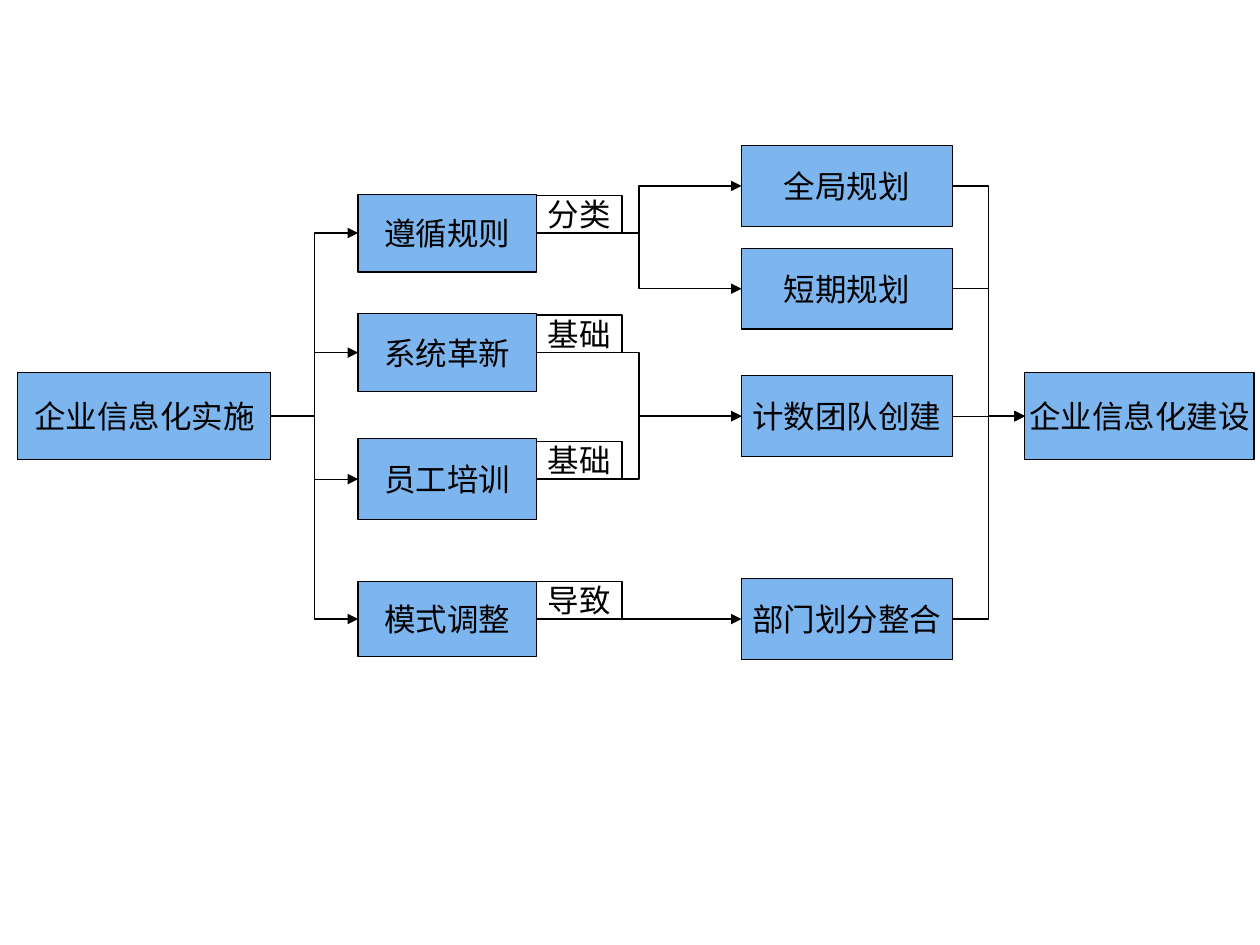
from lxml.etree import SubElement
from pptx import Presentation
from pptx.dml.color import RGBColor
from pptx.enum.shapes import MSO_CONNECTOR as Connector, MSO_SHAPE as Preset
from pptx.enum.text import MSO_ANCHOR as Anchor, PP_ALIGN as Align
from pptx.oxml.ns import qn
from pptx.util import Cm, Pt

BLUE, BLACK = "7DB6EF", "000000"
LEFT, RIGHT = 1, 3  # connection sites of a rectangle

# Columns: left, width, then boxes as (text, centre height, box height), in cm
COLUMNS = [
    (0.36, 5.1, [("企业信息化实施", 8.39, 1.75)]),
    (7.22, 3.59, [
        ("遵循规则", 4.7, 1.57),
        ("系统革新", 7.11, 1.57),
        ("员工培训", 9.66, 1.63),
        ("模式调整", 12.48, 1.52),
    ]),
    (14.95, 4.25, [
        ("全局规划", 3.75, 1.63),
        ("短期规划", 5.82, 1.63),
        ("计数团队创建", 8.39, 1.63),
        ("部门划分整合", 12.48, 1.63),
    ]),
    (20.66, 4.62, [("企业信息化建设", 8.39, 1.75)]),
]
STEP_LABELS = {"遵循规则": "分类", "系统革新": "基础", "员工培训": "基础", "模式调整": "导致"}
LABEL_WIDTH, LABEL_HEIGHT = 1.73, 0.76
LINKS = {
    "企业信息化实施": list(STEP_LABELS),
    "遵循规则": ["全局规划", "短期规划"],
    "系统革新": ["计数团队创建"],
    "员工培训": ["计数团队创建"],
    "模式调整": ["部门划分整合"],
    "全局规划": ["企业信息化建设"],
    "短期规划": ["企业信息化建设"],
    "计数团队创建": ["企业信息化建设"],
    "部门划分整合": ["企业信息化建设"],
}


def color(value):
    return RGBColor.from_string(value)


def style_line(line):
    line.color.rgb = color(BLACK)
    line.width = Pt(0.75)


def add_box(slide, text, left, top, width, height, fill=None):
    shape = slide.shapes.add_shape(Preset.RECTANGLE, Cm(left), Cm(top), Cm(width), Cm(height))
    shape.shadow.inherit = False
    style_line(shape.line)
    if fill:
        shape.fill.solid()
        shape.fill.fore_color.rgb = color(fill)
    else:
        shape.fill.background()
    frame = shape.text_frame
    frame.word_wrap = False
    frame.vertical_anchor = Anchor.MIDDLE
    paragraph = frame.paragraphs[0]
    paragraph.alignment = Align.CENTER
    run = paragraph.add_run()
    run.text = text
    run.font.name = "Arial"
    run.font.size = Pt(18)
    run.font.color.rgb = color(BLACK)
    return shape


def add_arrow(slide, source, target):
    arrow = slide.shapes.add_connector(Connector.ELBOW, 0, 0, 0, 0)
    arrow.begin_connect(source, RIGHT)
    arrow.end_connect(target, LEFT)
    style_line(arrow.line)
    SubElement(arrow.line._get_or_add_ln(), qn("a:tailEnd"), type="triangle")
    SubElement(arrow._element.spPr, qn("a:effectLst"))


def main():
    presentation = Presentation()
    presentation.slide_width, presentation.slide_height = Cm(25.4), Cm(19.05)
    slide = presentation.slides.add_slide(presentation.slide_layouts[6])

    boxes = {}
    for left, width, column in COLUMNS:
        for text, center, height in column:
            boxes[text] = add_box(slide, text, left, center - height / 2, width, height, BLUE)
            if text in STEP_LABELS:
                add_box(slide, STEP_LABELS[text], left + width, center - LABEL_HEIGHT,
                        LABEL_WIDTH, LABEL_HEIGHT)

    for source, targets in LINKS.items():
        for target in targets:
            add_arrow(slide, boxes[source], boxes[target])

    presentation.save("out.pptx")


if __name__ == "__main__":
    main()
